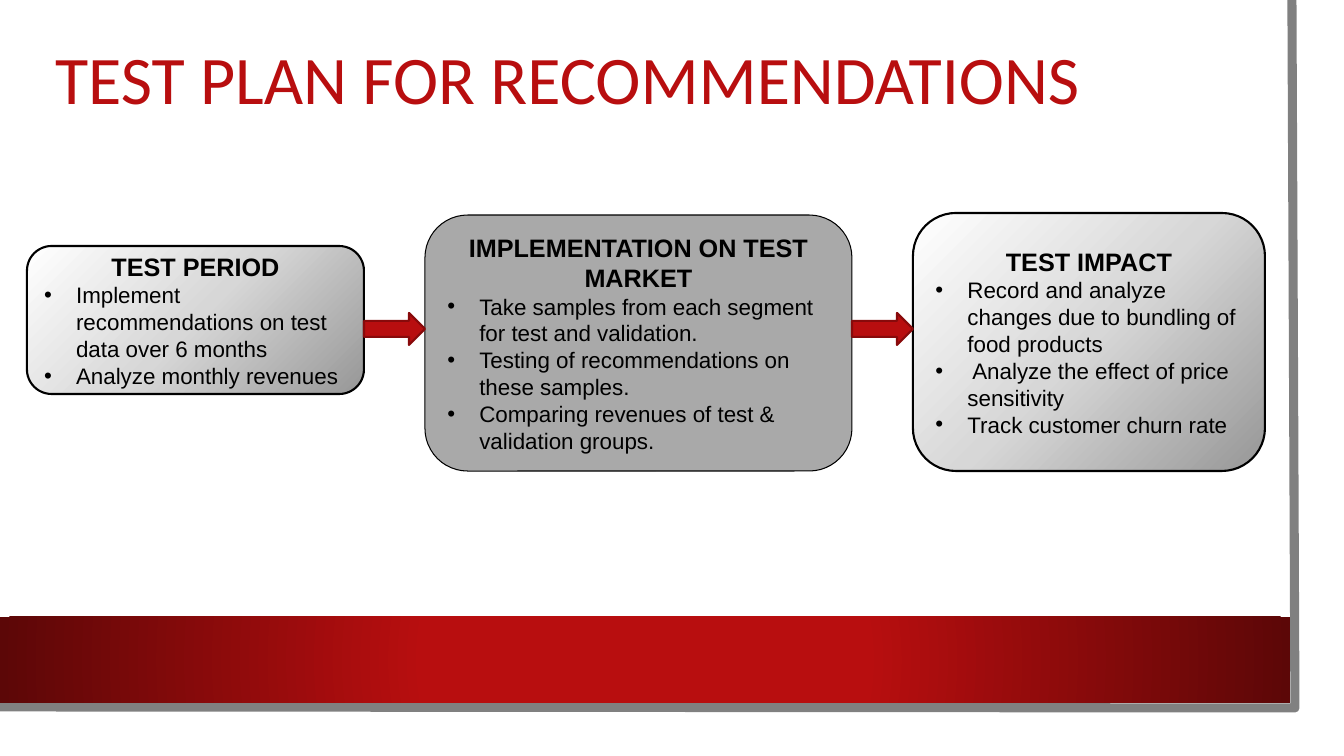
from pptx import Presentation
from pptx.dml.color import RGBColor
from pptx.enum.shapes import MSO_SHAPE as SHAPE
from pptx.enum.text import MSO_ANCHOR as ANCHOR, MSO_AUTO_SIZE as AUTO, PP_ALIGN as ALIGN
from pptx.oxml import parse_xml
from pptx.oxml.ns import nsdecls, qn
from pptx.util import Pt

PX = 914400 / 100.8
COLORS = {"red": "B80E0F", "dark red": "5C0707", "arrow line": "880A0B",
          "frame": "808080", "gray": "A9A9A9", "black": "000000",
          "shade": "979797", "mid": "D7D7D7", "white": "FFFFFF"}


def rgb(name):
    return RGBColor.from_string(COLORS[name])


def add_block(kind, box, fill, line=None, width=0, center=None):
    s = slide.shapes.add_shape(kind, *[round(v * PX) for v in box])
    s.shadow.inherit = False
    if center:
        s.fill.gradient()
        stops = "".join(f'<a:gs pos="{pos * 1000}"><a:srgbClr val="{COLORS[name]}"/></a:gs>'
                        for pos, name in fill)
        edges = " ".join(f'{side}="{v * 1000}"' for side, v in zip("ltrb", center))
        grad = parse_xml(f'<a:gradFill {nsdecls("a")} rotWithShape="1"><a:gsLst>{stops}</a:gsLst>'
                         f'<a:path path="circle"><a:fillToRect {edges}/></a:path></a:gradFill>')
        spPr = s._element.spPr
        spPr.replace(spPr.find(qn("a:gradFill")), grad)
    else:
        s.fill.solid()
        s.fill.fore_color.rgb = rgb(fill)
    if line:
        s.line.color.rgb = rgb(line)
        s.line.width = Pt(width)
    else:
        s.line.fill.background()
    return s


prs = Presentation()
prs.slide_width, prs.slide_height = round(1344 * PX), round(756 * PX)
slide = prs.slides.add_slide(prs.slide_layouts[5])

fb = slide.shapes.build_freeform(1292, 0, scale=PX)
fb.add_line_segments([(1295, 708), (-3, 707)], close=False)
frame = fb.convert_to_shape()
frame.shadow.inherit = False
frame.fill.background()
frame.line.color.rgb = rgb("frame")
frame.line.width = Pt(6.5)

add_block(SHAPE.RECTANGLE, (0, 617, 1290, 86), [(34, "red"), (100, "dark red")],
          center=(50, 50, 50, 50))

title = slide.shapes.title
title.left, title.top, title.width, title.height = [round(v * PX) for v in (45, 19, 1146, 127)]
tf = title.text_frame
tf.text = "TEST PLAN FOR RECOMMENDATIONS"
tf.auto_size = AUTO.NONE
tf.vertical_anchor = ANCHOR.MIDDLE
p = tf.paragraphs[0]
p.alignment = ALIGN.LEFT
p.line_spacing = 0.9
font = p.runs[0].font
font.name, font.size, font.color.rgb = "Calibri", Pt(48.6), rgb("red")

silver = [(0, "shade"), (50, "mid"), (100, "white")]
corner = (100, 100, 0, 0)
steps = [
    ((27, 246, 337, 148), silver, 1.5, corner, "TEST PERIOD",
     ["Implement recommendations on test data over 6 months",
      "Analyze monthly revenues"]),
    ((425, 215, 427, 256), "gray", 0.75, None, "IMPLEMENTATION ON TEST MARKET",
     ["Take samples from each segment for test and validation.",
      "Testing of recommendations on these samples.",
      "Comparing revenues of test & validation groups."]),
    ((913, 213, 352, 258), silver, 1.5, corner, "TEST IMPACT",
     ["Record and analyze changes due to bundling of food products",
      " Analyze the effect of price sensitivity",
      "Track customer churn rate"]),
]
for box, fill, width, center, heading, points in steps:
    s = add_block(SHAPE.ROUNDED_RECTANGLE, box, fill, "black", width, center)
    tf = s.text_frame
    tf.word_wrap = True
    tf.vertical_anchor = ANCHOR.MIDDLE
    tf.text = "\n".join([heading] + points)
    for i, p in enumerate(tf.paragraphs):
        font = p.runs[0].font
        font.name, font.color.rgb = "Arial", rgb("black")
        font.size, font.bold = Pt(16 if i else 18), i == 0
        p.alignment = ALIGN.LEFT if i else ALIGN.CENTER
        if i:
            pPr = p._p.get_or_add_pPr()
            pPr.set("marL", str(round(32 * PX)))
            pPr.set("indent", str(round(-32 * PX)))
            pPr.append(parse_xml(f'<a:buFont {nsdecls("a")} typeface="Arial"/>'))
            pPr.append(parse_xml(f'<a:buChar {nsdecls("a")} char="•"/>'))

for (left, _, width, _), *_ in steps[:-1]:
    add_block(SHAPE.RIGHT_ARROW, (left + width, 313, 61, 32), "red", "arrow line", 1.5)

prs.save("out.pptx")
